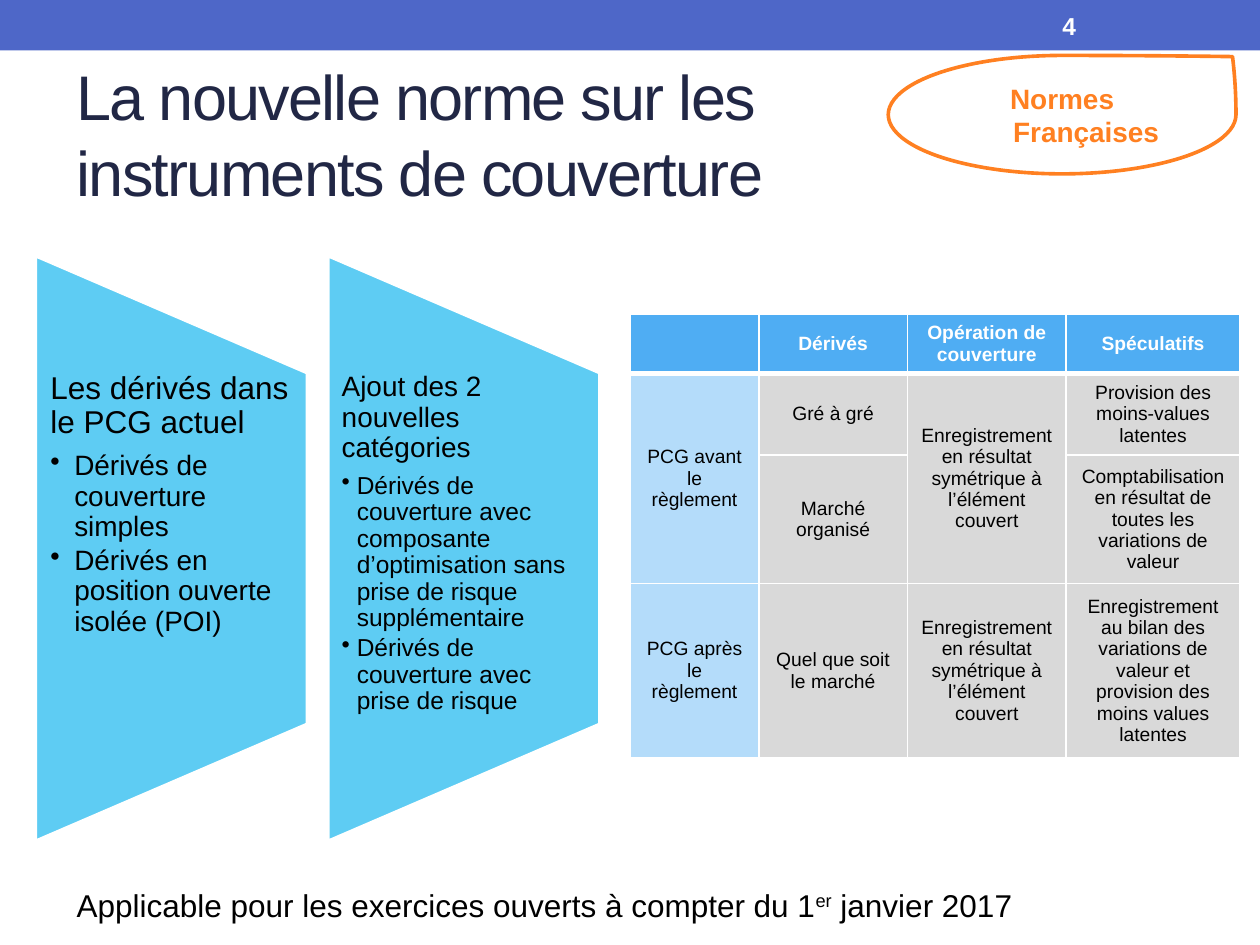
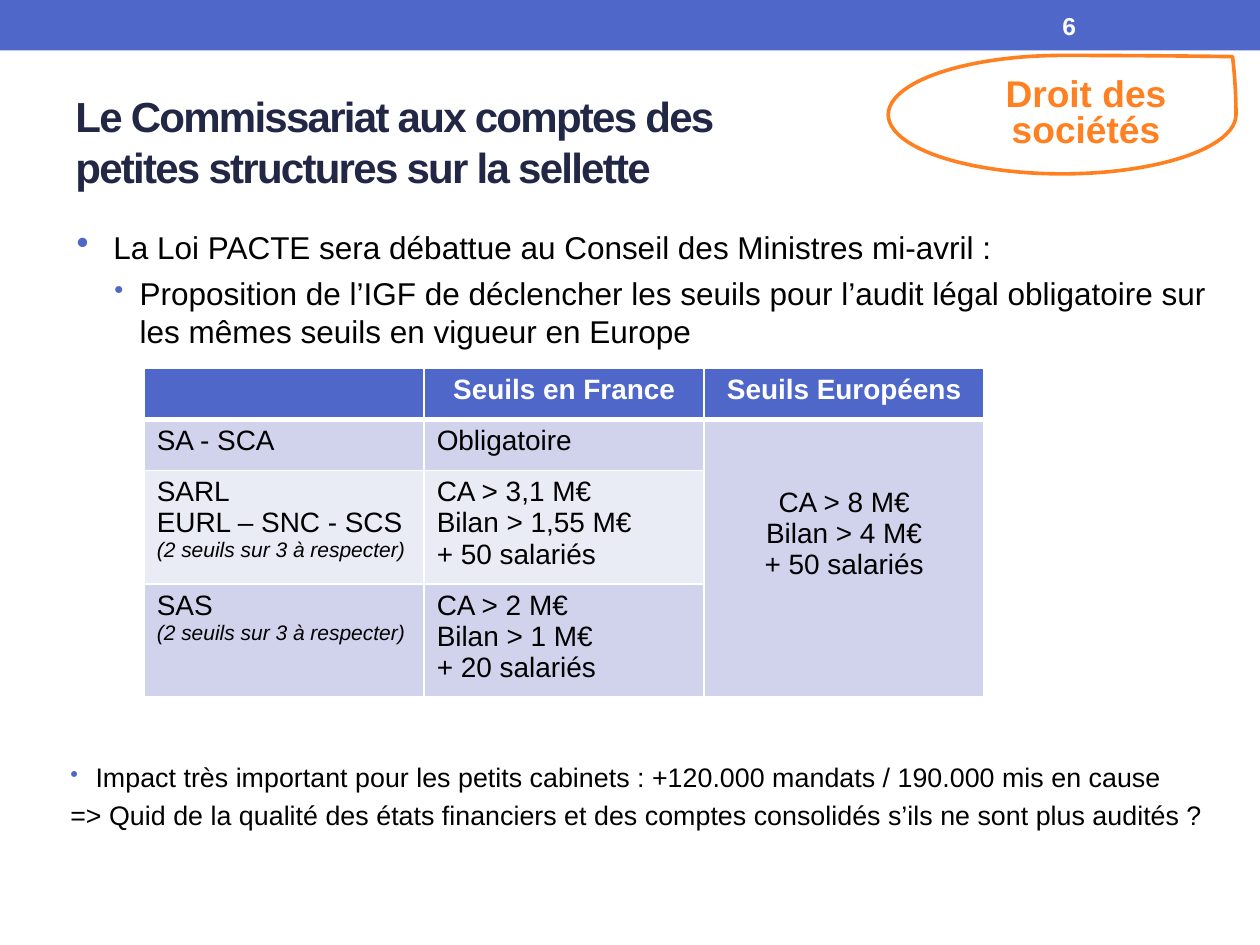
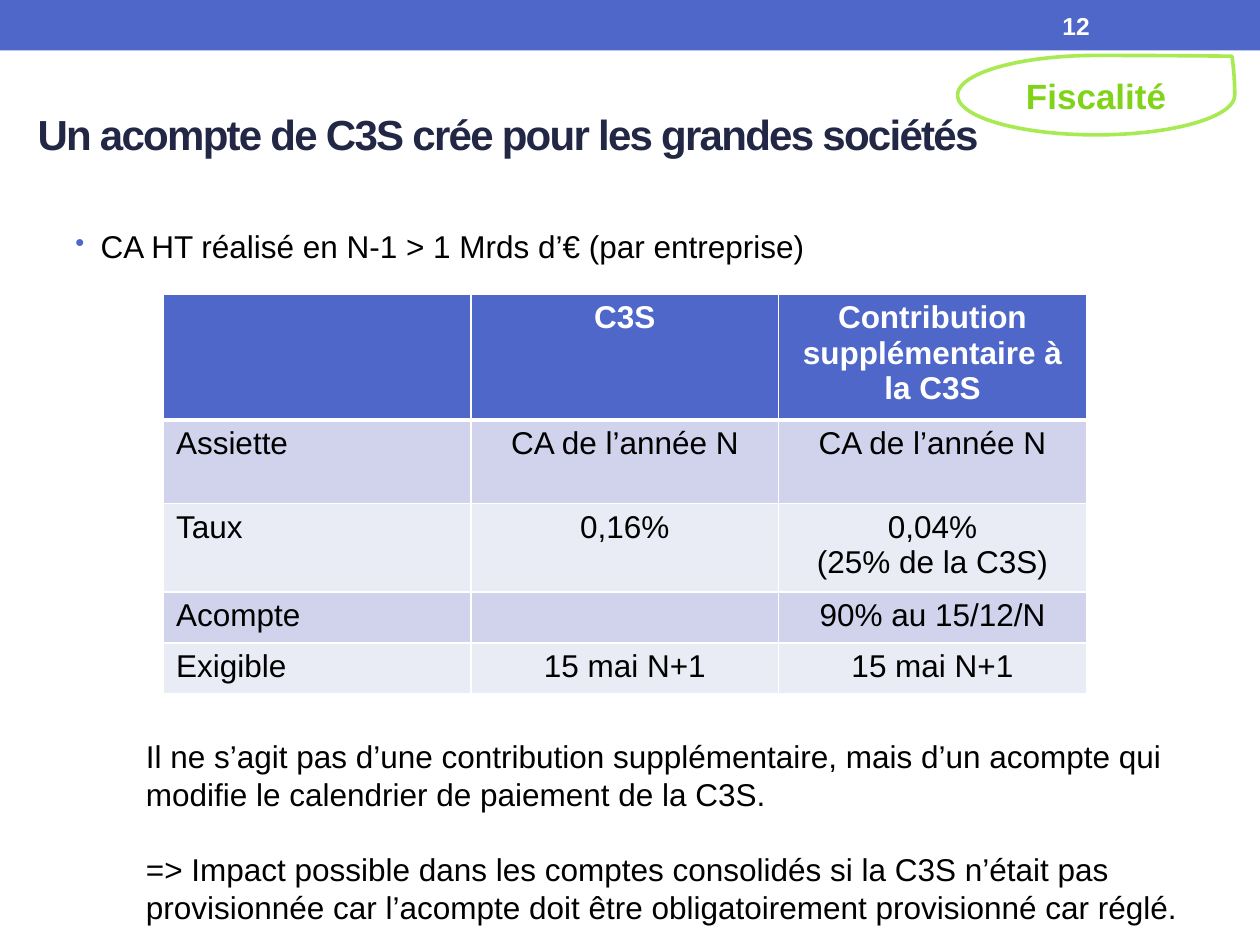
import pptx
import pptx.dml.color
import pptx.enum.shapes
import pptx.enum.text
import pptx.oxml
import pptx.oxml.ns
import pptx.util

Pt = pptx.util.Pt
SHAPES = pptx.enum.shapes.MSO_SHAPE
MIDDLE = pptx.enum.text.MSO_ANCHOR.MIDDLE
TOP = pptx.enum.text.MSO_ANCHOR.TOP
LEFT = pptx.enum.text.PP_ALIGN.LEFT
CENTER = pptx.enum.text.PP_ALIGN.CENTER

FONT = "Arial"
BLUE = "4E67C8"
NAVY = "212745"
BLACK = "000000"
WHITE = "FFFFFF"
ORANGE = "FF8021"
SKY = "5ECCF3"
BANDS = ["E9EBF5", "D0D3EB"]
OUTLINE = 2.08
SLIDE_WIDTH = 720


def color(value):
    return pptx.dml.color.RGBColor.from_string(value)


def set_values(target, values):
    for name, value in values.items():
        setattr(target, name, value)


def add_element(parent, tag, **attributes):
    element = pptx.oxml.parse_xml(f"<a:{tag} {pptx.oxml.ns.nsdecls('a')}/>")
    for name, value in attributes.items():
        element.set(name, str(value))
    parent.append(element)
    return element


def write_run(paragraph, text, style):
    run = paragraph.add_run()
    run.text = text
    set_values(run.font, {
        "name": FONT,
        "size": Pt(style["size"]),
        "bold": style.get("bold", False),
        "italic": style.get("italic", False),
    })
    run.font.color.rgb = color(style.get("color", BLACK))
    properties = run._r.get_or_add_rPr()
    for name in ("spc", "baseline"):
        if name in style:
            properties.set(name, str(style[name]))


def set_indent(paragraph, style):
    properties = paragraph._p.get_or_add_pPr()
    for name, key in (("marL", "margin"), ("indent", "indent")):
        if key in style:
            properties.set(name, str(Pt(style[key])))
    if "bullet_color" in style:
        bullet_color = add_element(properties, "buClr")
        add_element(bullet_color, "srgbClr", val=style["bullet_color"])
        add_element(properties, "buSzPct", val=style.get("bullet_size", 85) * 1000)
        add_element(properties, "buChar", char="•")


def write_text(frame, paragraphs, **common):
    for index, entry in enumerate(paragraphs):
        style = {**common, **entry}
        paragraph = frame.paragraphs[0] if index == 0 else frame.add_paragraph()
        set_indent(paragraph, style)
        set_values(paragraph, {
            "alignment": style.get("align", LEFT),
            "line_spacing": style.get("line_spacing"),
            "space_before": Pt(style.get("before", 0) if index else 0),
            "space_after": Pt(style.get("after", 0)),
        })
        for run_text, run_style in style.get("runs", [(style.get("text"), {})]):
            for line_index, line in enumerate(run_text.split("\n")):
                if line_index:
                    paragraph.add_line_break()
                write_run(paragraph, line, {**style, **run_style})


def add_text(slide, box, paragraphs, anchor=TOP, side=7.2, edge=3.6, **common):
    shape = slide.shapes.add_textbox(*map(Pt, box))
    set_values(shape.text_frame, {
        "word_wrap": True,
        "vertical_anchor": anchor,
        "margin_left": Pt(side),
        "margin_right": Pt(side),
        "margin_top": Pt(edge),
        "margin_bottom": Pt(edge),
    })
    write_text(shape.text_frame, paragraphs, **common)


def add_filled_shape(slide, kind, box, fill, line=None):
    shape = slide.shapes.add_shape(kind, *map(Pt, box))
    shape.shadow.inherit = False
    shape.fill.solid()
    shape.fill.fore_color.rgb = color(fill)
    if line:
        shape.line.color.rgb = color(line)
        shape.line.width = Pt(OUTLINE)
    else:
        shape.line.fill.background()
    return shape


def add_page(presentation, number, title, title_box, **title_style):
    slide = presentation.slides.add_slide(presentation.slide_layouts[6])
    add_filled_shape(slide, SHAPES.RECTANGLE, (0, 0, SLIDE_WIDTH, 28.8), BLUE)
    add_text(slide, (600, 1.5, 84, 26), [{"text": number}], MIDDLE,
             size=14, bold=True, color=WHITE)
    add_text(slide, title_box, [{"text": title}], MIDDLE,
             color=NAVY, spc=-100, **title_style)
    return slide


def add_theme_badge(slide, box, text, line, **style):
    badge = add_filled_shape(slide, SHAPES.TEAR, box, WHITE, line)
    badge.adjustments[0] = 0.98
    set_values(badge.text_frame, {"word_wrap": True, "vertical_anchor": MIDDLE})
    write_text(badge.text_frame, [{"text": text}],
               align=CENTER, bold=True, margin=27.4, **style)


def add_category_panel(slide, box, heading, items, size, child_size, side, hanging):
    left, top, width, height = box
    turned_box = (left + (width - height) / 2, top + (height - width) / 2, height, width)
    panel = add_filled_shape(slide, SHAPES.FLOWCHART_MANUAL_OPERATION,
                             turned_box, SKY, WHITE)
    panel.rotation = 270
    bullet = {"size": child_size, "after": child_size * 0.15, "margin": hanging,
              "indent": -hanging, "bullet_color": BLACK, "bullet_size": 100}
    paragraphs = [{"text": heading, "size": size, "after": size * 0.35}]
    paragraphs += [{"text": item, **bullet} for item in items]
    add_text(slide, (left, top + height * 0.2, width, height * 0.6), paragraphs,
             side=side, edge=0, line_spacing=0.9)


def add_cell_borders(cell, row):
    properties = cell._tc.get_or_add_tcPr()
    widths = {"lnL": 1, "lnR": 1, "lnT": 3 if row == 1 else 1, "lnB": 1 if row else 3}
    for tag, width in widths.items():
        border = add_element(properties, tag, w=Pt(width))
        add_element(add_element(border, "solidFill"), "srgbClr", val=WHITE)


def add_grid(slide, position, widths, heights, rows, size, header_fill,
             body_fill, body_align, anchor=TOP, merges=()):
    frame = slide.shapes.add_table(len(rows), len(widths), *map(
        Pt, (*position, sum(widths), sum(heights))))
    table = frame.table
    for column, width in zip(table.columns, widths):
        column.width = Pt(width)
    for table_row, height in zip(table.rows, heights):
        table_row.height = Pt(height)
    for row, entries in enumerate(rows):
        for column, entry in enumerate(entries):
            cell = table.cell(row, column)
            add_cell_borders(cell, row)
            cell.fill.solid()
            cell.fill.fore_color.rgb = color(body_fill(row, column) if row else header_fill)
            cell.vertical_anchor = anchor
            lines = [line if isinstance(line, dict) else {"text": line} for line in entry]
            write_text(cell.text_frame, lines, size=size, bold=row == 0,
                       color=BLACK if row else WHITE,
                       align=body_align(column) if row else CENTER)
    for row, column, last_row in merges:
        table.cell(row, column).merge(table.cell(last_row, column))
    return table


def band_fill(row, column):
    return BANDS[row % 2]


def build_hedging_slide(presentation):
    slide = add_page(presentation, "4", "La nouvelle norme sur les instruments de couverture",
                     (36.7, 31, 476, 90), size=36)
    add_category_panel(slide, (20.2, 146, 155.5, 334.8), "Les dérivés dans le PCG actuel",
                       ["Dérivés de couverture simples",
                        "Dérivés en position ouverte isolée (POI)"], 18, 16, 8.6, 13.7)
    add_category_panel(slide, (187.4, 146, 155.5, 334.8), "Ajout des 2 nouvelles catégories",
                       ["Dérivés de couverture avec composante d’optimisation "
                        "sans prise de risque supplémentaire",
                        "Dérivés de couverture avec prise de risque"], 16, 14, 7.9, 8.6)
    symmetrical = ["Enregistrement en résultat symétrique à l’élément couvert"]
    rows = [
        [[], ["Dérivés"], ["Opération de couverture"], ["Spéculatifs"]],
        [["PCG avant le règlement"], ["Gré à gré"], symmetrical,
         ["Provision des moins-values latentes"]],
        [[], ["Marché organisé"], [],
         ["Comptabilisation en résultat de toutes les variations de valeur"]],
        [["PCG après le règlement"], ["Quel que soit le marché"], symmetrical,
         ["Enregistrement au bilan des variations de valeur et provision "
          "des moins values latentes"]],
    ]
    add_grid(slide, (360.2, 179.5), [73.4, 85, 90.7, 99.4], [33.8, 46.4, 68.5, 93], rows,
             11, "4FADF3", lambda row, column: "D9D9D9" if column else "B4DCFA",
             lambda column: CENTER, MIDDLE, [(1, 0, 2), (1, 2, 2)])
    add_text(slide, (36.7, 502.5, 669, 29), [{"runs": [
        ("Applicable pour les exercices ouverts à compter du 1", {}),
        ("er", {"baseline": 30000}),
        (" janvier 2017", {}),
    ]}], size=18)
    add_theme_badge(slide, (507.6, 31.7, 198.7, 67.7), "Normes Françaises", ORANGE,
                    size=16, color=ORANGE, indent=-27.4)


def build_audit_slide(presentation):
    slide = add_page(presentation, "6",
                     "Le Commissariat aux comptes des\npetites structures sur la sellette",
                     (36, 41.8, 648, 77.8), size=24, bold=True)
    add_text(slide, (36.7, 127, 669, 92), [
        {"text": "La Loi PACTE sera débattue au Conseil des Ministres mi-avril :",
         "margin": 21, "indent": -21, "bullet_size": 113},
        {"text": "Proposition de l’IGF de déclencher les seuils pour l’audit légal "
                 "obligatoire sur les mêmes seuils en vigueur en Europe",
         "margin": 36, "indent": -14.4, "before": 4.5},
    ], size=18, bullet_color=BLUE)
    add_theme_badge(slide, (507.6, 31.7, 198.7, 67.7), "Droit des sociétés", ORANGE,
                    size=21.2, color=ORANGE, line_spacing=0.8)
    note = {"text": "(2 seuils sur 3 à respecter)", "size": 12, "italic": True}
    rows = [
        [[], ["Seuils en France"], ["Seuils Européens"]],
        [["SA - SCA"], ["Obligatoire"], ["CA > 8 M€", "Bilan > 4 M€", "+ 50 salariés"]],
        [["SARL", "EURL – SNC - SCS", note],
         ["CA > 3,1 M€", "Bilan > 1,55 M€", "+ 50 salariés"], []],
        [["SAS", note], ["CA > 2 M€", "Bilan > 1 M€", "+ 20 salariés"], []],
    ]
    table = add_grid(slide, (82.4, 210.4), [160] * 3, [29.2, 29.2, 60.5, 60.5], rows,
                     16, BLUE, band_fill,
                     lambda column: CENTER if column == 2 else LEFT, merges=[(1, 2, 3)])
    table.cell(1, 2).margin_top = Pt(39)
    add_text(slide, (33.1, 431.3, 669, 62.6), [
        {"text": "Impact très important pour les petits cabinets : "
                 "+120.000 mandats / 190.000 mis en cause",
         "margin": 14.4, "indent": -14.4, "bullet_color": BLUE},
        {"text": "=> Quid de la qualité des états financiers et des comptes consolidés "
                 "s’ils ne sont plus audités ?", "before": 3},
    ], size=15.3)


def build_tax_slide(presentation):
    slide = add_page(presentation, "12", "Un acompte de C3S crée pour les grandes sociétés",
                     (14.4, 37.4, 648, 77.8), size=24, bold=True)
    add_text(slide, (36, 126, 648, 87), [
        {"text": "CA HT réalisé en N-1 > 1 Mrds d’€ (par entreprise)"},
    ], size=18, margin=14.4, indent=-14.4, bullet_color=BLUE)
    add_theme_badge(slide, (547.2, 31.7, 158.4, 45.4), "Fiscalité", "A7EA52",
                    size=20, color="81D31A", indent=-27.4)
    rows = [
        [[], ["C3S"], ["Contribution supplémentaire à la C3S"]],
        [["Assiette"], ["CA de l’année N"], ["CA de l’année N"]],
        [["Taux"], ["0,16%"], ["0,04%", "(25% de la C3S)"]],
        [["Acompte"], [], ["90% au 15/12/N"]],
        [["Exigible"], ["15 mai N+1"], ["15 mai N+1"]],
    ]
    add_grid(slide, (93.4, 168), [175.8] * 3, [67, 47.8, 47.8, 29.2, 29.2], rows,
             18, BLUE, band_fill, lambda column: CENTER if column else LEFT)
    add_text(slide, (76.3, 417.6, 607, 116.6), [
        {"text": "Il ne s’agit pas d’une contribution supplémentaire, mais d’un acompte "
                 "qui modifie le calendrier de paiement de la C3S."},
        {"text": "=> Impact possible dans les comptes consolidés si la C3S n’était pas "
                 "provisionnée car l’acompte doit être obligatoirement provisionné "
                 "car réglé.", "before": 21.6},
    ], size=18)


def main():
    presentation = pptx.Presentation()
    set_values(presentation, {"slide_width": Pt(SLIDE_WIDTH), "slide_height": Pt(540)})
    build_hedging_slide(presentation)
    build_audit_slide(presentation)
    build_tax_slide(presentation)
    presentation.save("out.pptx")


if __name__ == "__main__":
    main()
